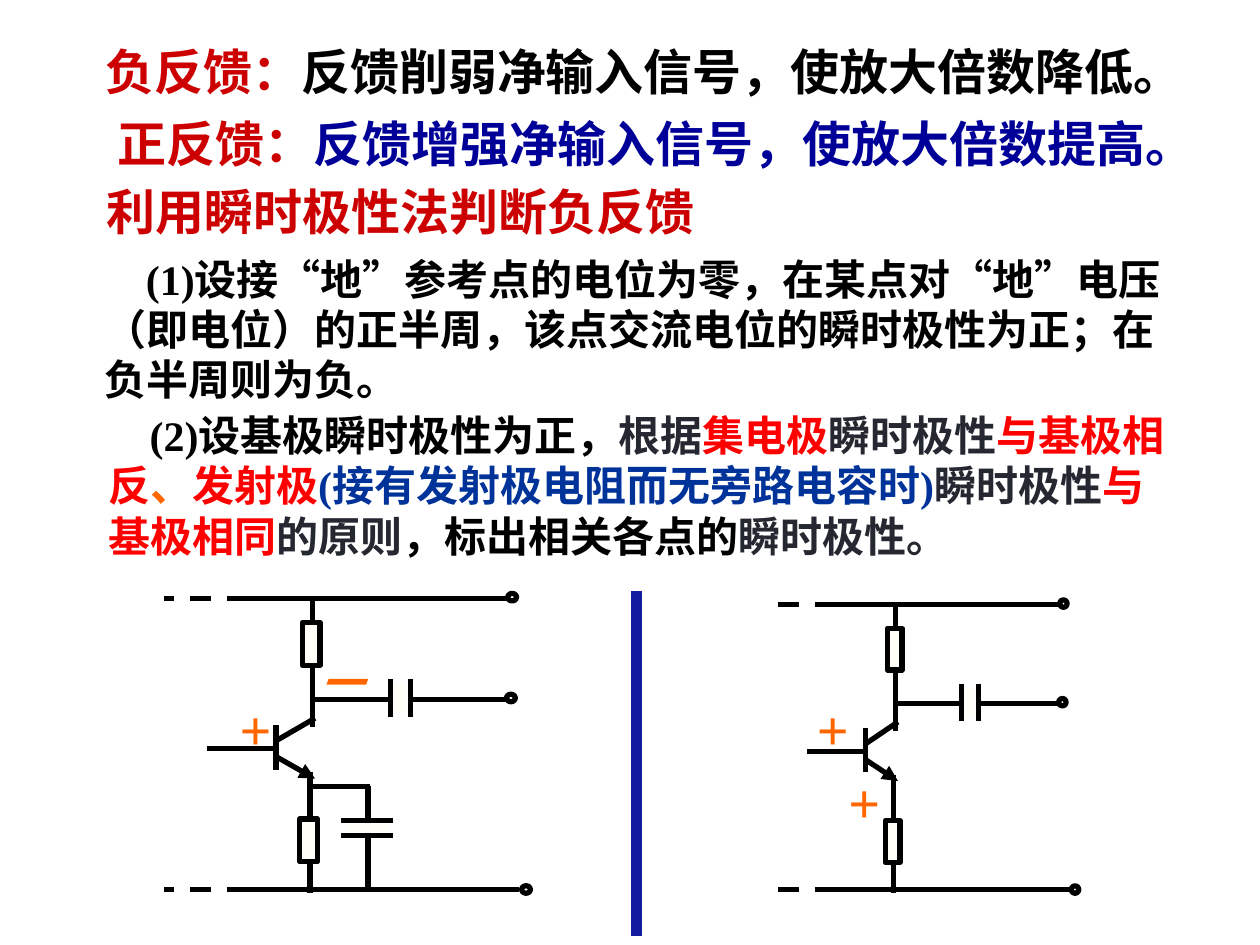
from lxml.etree import SubElement
from pptx import Presentation
from pptx.dml.color import RGBColor
from pptx.enum.dml import MSO_LINE
from pptx.enum.shapes import MSO_CONNECTOR, MSO_SHAPE
from pptx.enum.text import MSO_AUTO_SIZE, PP_ALIGN
from pptx.oxml.ns import qn
from pptx.util import Inches, Pt

FONT = "Times New Roman"
BLACK = RGBColor(0x00, 0x00, 0x00)
WHITE = RGBColor(0xFF, 0xFF, 0xFF)
CREAM = RGBColor(0xFF, 0xFF, 0xF7)
CRIMSON = RGBColor(0xCC, 0x00, 0x00)
RED = RGBColor(0xFF, 0x00, 0x00)
NAVY = RGBColor(0x00, 0x00, 0x99)
BLUE = RGBColor(0x00, 0x33, 0x99)
BAR = RGBColor(0x13, 0x1C, 0x9E)
SLATE = RGBColor(0x25, 0x27, 0x31)
ORANGE = RGBColor(0xFF, 0x66, 0x00)


def write(slide, box, runs, size=28, italic=False, align=PP_ALIGN.LEFT,
          wrap=True, indent=0):
    shape = slide.shapes.add_textbox(*map(Inches, box))
    frame = shape.text_frame
    frame.word_wrap = wrap
    frame.auto_size = MSO_AUTO_SIZE.SHAPE_TO_FIT_TEXT
    para = frame.paragraphs[0]
    para.alignment = align
    if indent:
        para._p.get_or_add_pPr().set("indent", str(Inches(indent)))
    for text, color in runs:
        run = para.add_run()
        run.text = text
        font = run.font
        font.name, font.size = FONT, Pt(size)
        font.bold, font.italic = True, italic
        font.color.rgb = color


def wire(shapes, ends, color=BLACK, width=3, dash=False, arrow=False):
    line = shapes.add_connector(MSO_CONNECTOR.STRAIGHT, *map(Inches, ends))
    line.line.color.rgb = color
    line.line.width = Pt(width)
    if dash:
        line.line.dash_style = MSO_LINE.DASH
    if arrow:
        SubElement(line.line._get_or_add_ln(), qn("a:tailEnd"), type="triangle")
    SubElement(line._element.spPr, qn("a:effectLst"))


def block(shapes, kind, box, fill=None, color=BLACK):
    shape = shapes.add_shape(kind, *map(Inches, box))
    shape.shadow.inherit = False
    if fill is None:
        shape.fill.background()
    else:
        shape.fill.solid()
        shape.fill.fore_color.rgb = fill
    shape.line.color.rgb = color
    shape.line.width = Pt(3)


def circuit(slide, box, marks, bypass=False):
    left, top, width, height = box
    across, down = width / 2.92, height / 2.31
    shapes = slide.shapes.add_group_shape().shapes

    def path(x1, y1, x2, y2, **style):
        wire(shapes, (left + x1 * across, top + y1 * down,
                      left + x2 * across, top + y2 * down), **style)

    def part(kind, x, y, w, h, **style):
        block(shapes, kind, (left + x * across, top + y * down,
                             w * across, h * down), **style)

    path(0.89, 1, 0.89, 1.36)
    path(0.89, 1.13, 1.2, 0.95)
    path(0.9, 1.26, 1.2, 1.43, arrow=True)
    path(1.16, 1.38, 1.16, 2.34)
    path(1.18, 1.02, 1.18, 0)
    path(1.16, 0.8, 2.72, 0.8)
    path(0.34, 1.19, 0.9, 1.19)
    for x, y in ((2.73, -0.04), (2.72, 0.76), (2.84, 2.28)):
        part(MSO_SHAPE.OVAL, x, y, 0.07, 0.06)
    for x, y in ((1.1, 0.19), (1.08, 1.75)):
        part(MSO_SHAPE.RECTANGLE, x, y, 0.14, 0.34, fill=CREAM)
    part(MSO_SHAPE.RECTANGLE, 1.81, 0.65, 0.13, 0.28, fill=CREAM, color=WHITE)
    for x in (1.8, 1.96):
        path(x, 0.64, x, 0.94)
    if bypass:
        part(MSO_SHAPE.RECTANGLE, 1.43, 1.77, 0.37, 0.1, fill=CREAM, color=WHITE)
        for y in (1.76, 1.88):
            path(1.41, y, 1.82, y)
        path(1.16, 1.49, 1.64, 1.49)
        path(1.62, 1.49, 1.62, 1.76)
        path(1.62, 1.88, 1.62, 2.31)
    for y, end in ((0, 2.72), (2.31, 2.82)):
        path(end, y, 0.56, y)
        path(0.96, y, 0, y, dash=True)
    for text, x, y, w in marks:
        write(slide, (left + x, top + y, w, 0.63), [(text, ORANGE)],
              size=32, italic=True)


def heads(slide, box):
    left, top = box
    write(slide, (left, top, 8.67, 0.57),
          [("负反馈：", CRIMSON), ("反馈削弱净输入信号，使放大倍数降低。", BLACK)])
    write(slide, (left - 0.03, top + 0.57, 8.99, 0.57),
          [("正反馈：", CRIMSON), ("反馈增强净输入信号，使放大倍数提高。", NAVY)],
          align=PP_ALIGN.CENTER, wrap=False)
    write(slide, (left + 0.01, top + 1.11, 5.35, 0.57),
          [("利用瞬时极性法判断负反馈", CRIMSON)])


def rules(slide, box):
    left, top = box
    first = ("(1)设接“地”参考点的电位为零，在某点对“地”电压（即电位）的正半周，"
             "该点交流电位的瞬时极性为正；在负半周则为负。")
    second = [("(2)设基极瞬时极性为正，", BLACK), ("根据", SLATE),
              ("集电极", RED), ("瞬时极性", SLATE), ("与基极相反", RED),
              ("、", ORANGE), ("发射极", RED),
              ("(接有发射极电阻而无旁路电容时)", BLUE), ("瞬时极性", SLATE),
              ("与基极相同", RED), ("的原则", SLATE),
              ("，标出相关各点的", BLACK), ("瞬时极性。", SLATE)]
    write(slide, (left, top, 8.83, 1.31), [(first, BLACK)], size=24, indent=0.33)
    write(slide, (left + 0.03, top + 1.24, 8.67, 1.31), second,
          size=24, indent=0.33)


def main():
    deck = Presentation()
    deck.slide_width, deck.slide_height = Inches(10), Inches(7.5)
    slide = deck.slides.add_slide(deck.slide_layouts[6])
    heads(slide, (0.74, 0.28))
    circuit(slide, (6.12, 4.8, 2.45, 2.26),
            [("+", 0.26, 0.66, 0.58), ("+", 0.51, 1.24, 0.92)])
    circuit(slide, (1.3, 4.75, 2.92, 2.31),
            [("+", 0.5, 0.71, 0.58), ("－", 1.08, 0.34, 0.92)], bypass=True)
    wire(slide.shapes, (5.05, 4.69, 5.05, 7.43), color=BAR, width=6)
    rules(slide, (0.73, 1.96))
    deck.save("out.pptx")


if __name__ == "__main__":
    main()
